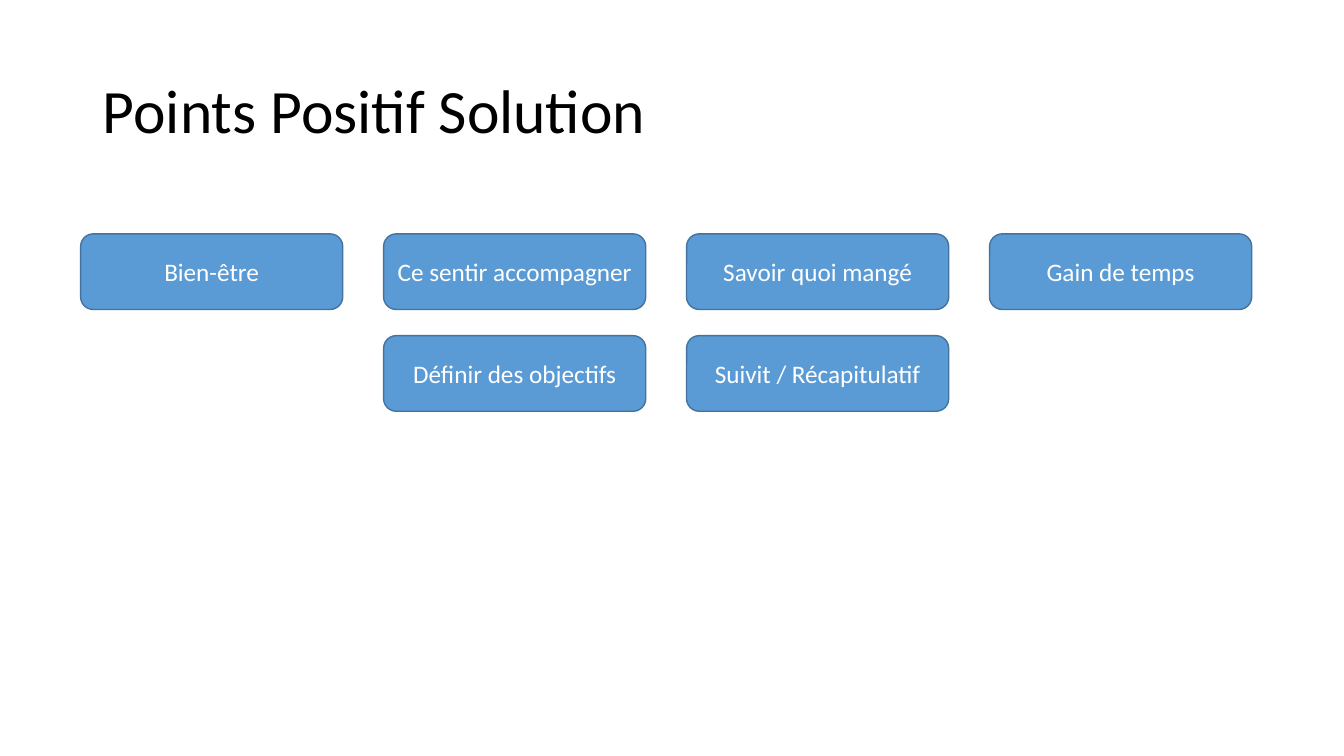
from pptx import Presentation
from pptx import util as u
from pptx.dml import color
from pptx.enum import shapes, text


def rgb(value):
    return color.RGBColor.from_string(value)


def add_run(p, words, size, hex_color):
    r = p.add_run()
    r.text = words
    r.font.size = u.Pt(size)
    r.font.name = "Calibri"
    r.font.color.rgb = rgb(hex_color)


prs = Presentation()
prs.slide_width = u.Inches(13.33)
prs.slide_height = u.Inches(7.5)
s = prs.slides.add_slide(prs.slide_layouts[5])

title = s.shapes.title
title.left, title.top = u.Inches(0.92), u.Inches(0.4)
title.width, title.height = u.Inches(11.5), u.Inches(1.45)
tf = title.text_frame
tf.word_wrap = True
tf.vertical_anchor = text.MSO_ANCHOR.MIDDLE
p = tf.paragraphs[0]
p.alignment = text.PP_ALIGN.LEFT
p.line_spacing = 0.9
add_run(p, "Points Positif Solution", 44, "000000")

benefits = [
    (0, 0, "Bien-être"),
    (0, 1, "Ce sentir accompagner"),
    (0, 2, "Savoir quoi mangé"),
    (0, 3, "Gain de temps"),
    (1, 1, "Définir des objectifs"),
    (1, 2, "Suivit / Récapitulatif"),
]
left, top = 0.8, 2.32
col_step, row_step = 3.005, 1.01

for row, col, label in benefits:
    sp = s.shapes.add_shape(
        shapes.MSO_SHAPE.ROUNDED_RECTANGLE,
        u.Inches(left + col * col_step),
        u.Inches(top + row * row_step),
        u.Inches(2.6),
        u.Inches(0.75),
    )
    sp.shadow.inherit = False
    sp.fill.solid()
    sp.fill.fore_color.rgb = rgb("5B9BD5")
    sp.line.color.rgb = rgb("43739E")
    sp.line.width = u.Pt(1)
    tf = sp.text_frame
    tf.word_wrap = True
    tf.vertical_anchor = text.MSO_ANCHOR.MIDDLE
    p = tf.paragraphs[0]
    p.alignment = text.PP_ALIGN.CENTER
    add_run(p, label, 18, "FFFFFF")

prs.save("out.pptx")
